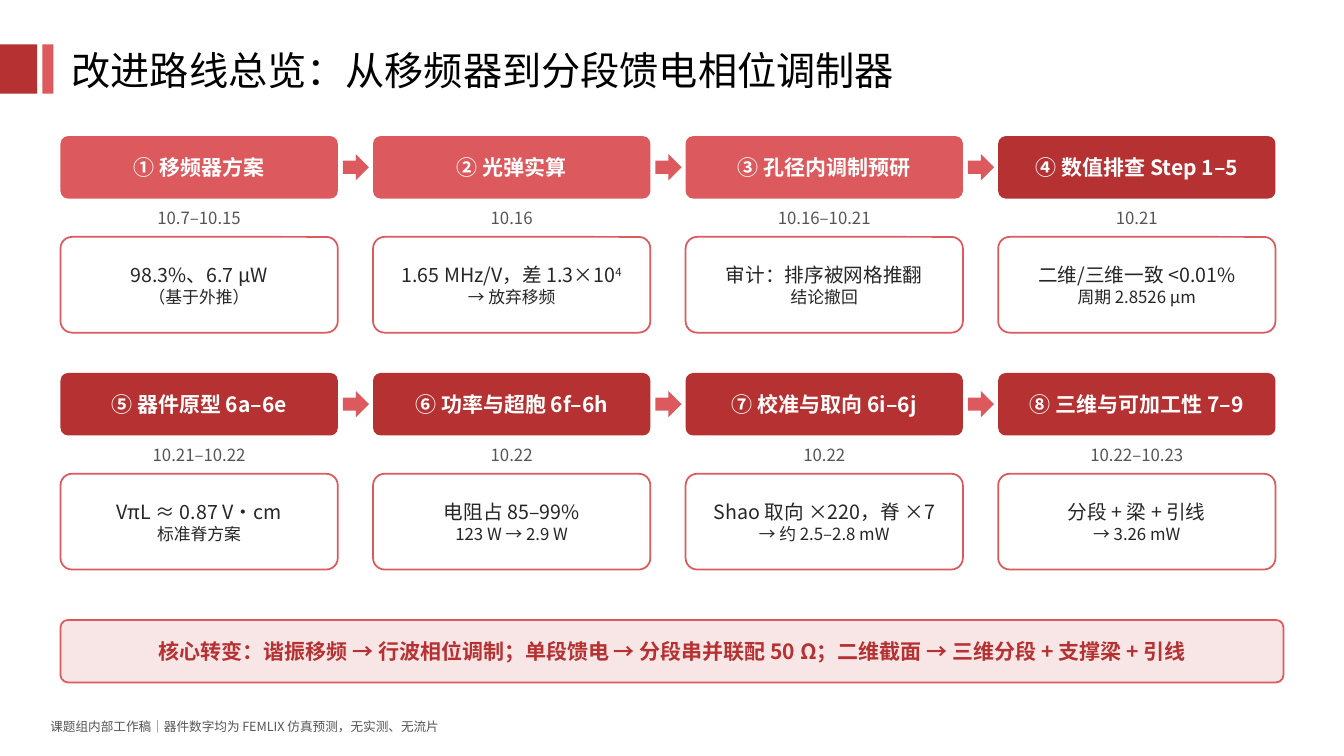
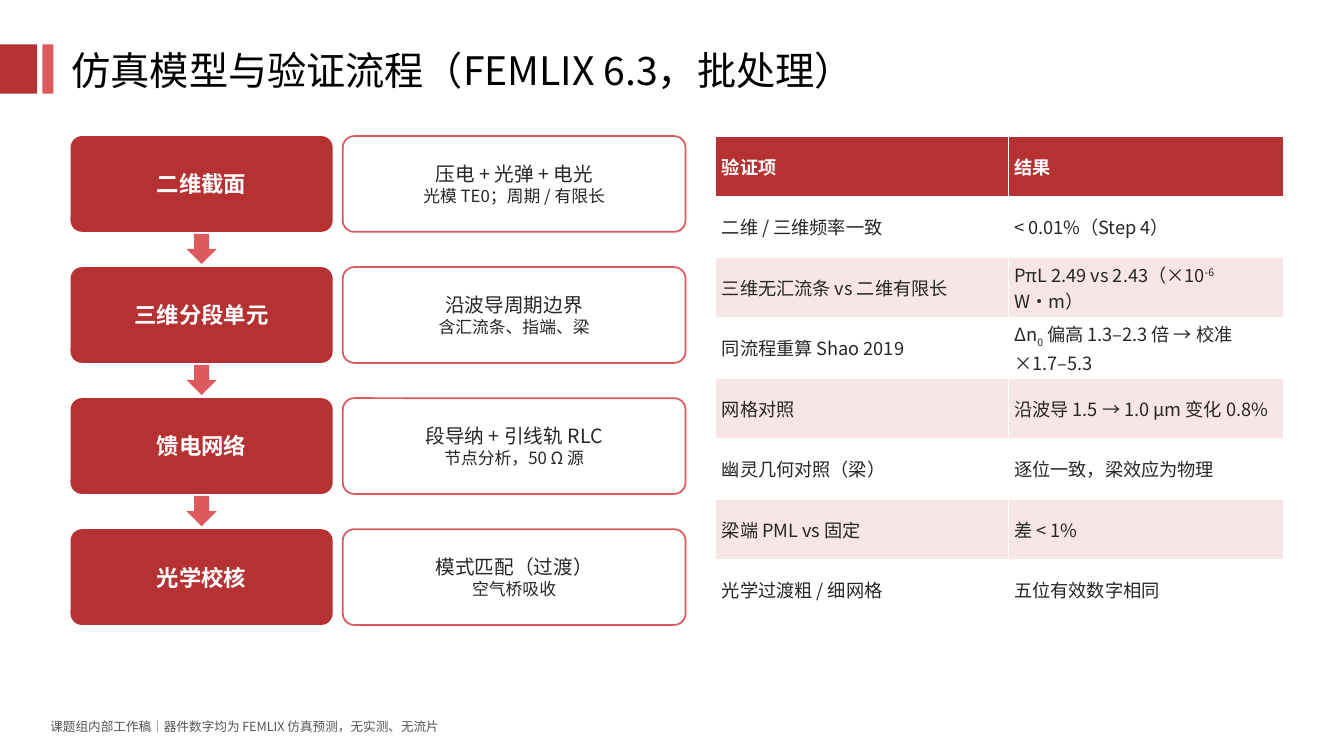
from lxml.etree import SubElement
from pptx import Presentation
from pptx.dml.color import RGBColor
from pptx.enum.shapes import MSO_SHAPE
from pptx.enum.text import MSO_ANCHOR, PP_ALIGN
from pptx.oxml.ns import qn
from pptx.util import Inches, Pt

FONT = "Noto Sans CJK SC"
DARK_RED, RED, PALE_RED = "B53132", "DC5A5D", "F8E6E6"
WHITE, BLACK, INK, GREY = "FFFFFF", "000000", "262626", "555555"
FOOTER = "课题组内部工作稿｜器件数字均为 FEMLIX 仿真预测，无实测、无流片"
BASELINES = {"^": 30000, "~": -25000}
CARD_HEIGHT = 0.95

STAGES = [
    ("① 移频器方案", "10.7–10.15", "98.3%、6.7 µW", "（基于外推）"),
    ("② 光弹实算", "10.16", "1.65 MHz/V，差 1.3×10|^4", "→ 放弃移频"),
    ("③ 孔径内调制预研", "10.16–10.21", "审计：排序被网格推翻", "结论撤回"),
    ("④ 数值排查 Step 1–5", "10.21", "二维/三维一致 <0.01%", "周期 2.8526 µm"),
    ("⑤ 器件原型 6a–6e", "10.21–10.22", "VπL ≈ 0.87 V·cm", "标准脊方案"),
    ("⑥ 功率与超胞 6f–6h", "10.22", "电阻占 85–99%", "123 W → 2.9 W"),
    ("⑦ 校准与取向 6i–6j", "10.22", "Shao 取向 ×220，脊 ×7", "→ 约 2.5–2.8 mW"),
    ("⑧ 三维与可加工性 7–9", "10.22–10.23", "分段 + 梁 + 引线", "→ 3.26 mW"),
]
EARLY_STAGES = 3
STAGES_PER_ROW = 4

MODEL_STEPS = [
    ("二维截面", "压电 + 光弹 + 电光", "光模 TE0；周期 / 有限长"),
    ("三维分段单元", "沿波导周期边界", "含汇流条、指端、梁"),
    ("馈电网络", "段导纳 + 引线轨 RLC", "节点分析，50 Ω 源"),
    ("光学校核", "模式匹配（过渡）", "空气桥吸收"),
]

CHECKS = [
    ("验证项", "结果"),
    ("二维 / 三维频率一致", "< 0.01%（Step 4）"),
    ("三维无汇流条 vs 二维有限长", "PπL 2.49 vs 2.43（×10|^-6| W·m）"),
    ("同流程重算 Shao 2019", "Δn|~0| 偏高 1.3–2.3 倍 → 校准 ×1.7–5.3"),
    ("网格对照", "沿波导 1.5 → 1.0 µm 变化 0.8%"),
    ("幽灵几何对照（梁）", "逐位一致，梁效应为物理"),
    ("梁端 PML vs 固定", "差 < 1%"),
    ("光学过渡粗 / 细网格", "五位有效数字相同"),
]


def rgb(color):
    return RGBColor.from_string(color)


def write(paragraph, text, size=14, color=INK, bold=False, align=PP_ALIGN.LEFT, after=0):
    """Write text split at "|"; pieces led by ^ or ~ are raised or lowered."""
    paragraph.alignment = align
    paragraph.space_after = Pt(after)
    for piece in text.split("|"):
        run = paragraph.add_run()
        run.text = piece.lstrip("^~")
        run.font.name = FONT
        run.font.size = Pt(size)
        run.font.bold = bold
        run.font.color.rgb = rgb(color)
        properties = run._r.get_or_add_rPr()
        SubElement(properties, qn("a:ea"), typeface=FONT)
        if piece[0] in BASELINES:
            properties.set("baseline", str(BASELINES[piece[0]]))


def set_margins(target, horizontal=0.06, vertical=0.03):
    target.margin_left = target.margin_right = Inches(horizontal)
    target.margin_top = target.margin_bottom = Inches(vertical)


class Deck:
    def __init__(self):
        self.presentation = Presentation()
        self.presentation.slide_width = Inches(13.33)
        self.presentation.slide_height = Inches(7.5)
        self.slide = None

    def new_slide(self, heading):
        """Start a slide with its red band, title and footer."""
        layout = self.presentation.slide_layouts[5]
        self.slide = self.presentation.slides.add_slide(layout)
        self.shape(MSO_SHAPE.RECTANGLE, 0, 0.44, 0.37, 0.49, DARK_RED)
        self.shape(MSO_SHAPE.RECTANGLE, 0.42, 0.44, 0.11, 0.49, RED)
        title = self.slide.shapes.title
        title.left, title.top = Inches(0.61), Inches(0.41)
        title.width, title.height = Inches(10.6), Inches(0.57)
        frame = title.text_frame
        frame.vertical_anchor = MSO_ANCHOR.MIDDLE
        set_margins(frame, 0.1, 0.05)
        write(frame.paragraphs[0], heading, size=28, color=BLACK)
        self.label(FOOTER, 0.45, 7.08, 9.5, size=9)

    def shape(self, kind, left, top, width, height, fill, line=None):
        shape = self.slide.shapes.add_shape(
            kind, Inches(left), Inches(top), Inches(width), Inches(height))
        shape.shadow.inherit = False
        shape.fill.solid()
        shape.fill.fore_color.rgb = rgb(fill)
        if line:
            shape.line.color.rgb = rgb(line)
            shape.line.width = Pt(1.25)
        else:
            shape.line.fill.background()
        return shape

    def label(self, text, left, top, width, **style):
        box = self.slide.shapes.add_textbox(
            Inches(left), Inches(top), Inches(width), Inches(0.3))
        frame = box.text_frame
        frame.word_wrap = True
        set_margins(frame, 0.05, 0.05)
        write(frame.paragraphs[0], text, color=GREY, after=4, **style)

    def block(self, lines, left, top, width, height, fill, line=None, **style):
        """Draw a rounded box with centred (text, size) lines."""
        box = self.shape(MSO_SHAPE.ROUNDED_RECTANGLE, left, top, width, height, fill, line)
        box.adjustments[0] = 0.12
        frame = box.text_frame
        frame.word_wrap = True
        frame.vertical_anchor = MSO_ANCHOR.MIDDLE
        set_margins(frame)
        for index, (text, size) in enumerate(lines):
            paragraph = frame.add_paragraph() if index else frame.paragraphs[0]
            write(paragraph, text, size=size, align=PP_ALIGN.CENTER, **style)

    def header(self, text, left, top, width, height, fill=DARK_RED, size=15):
        self.block([(text, size)], left, top, width, height, fill, color=WHITE, bold=True)

    def card(self, finding, detail, left, top, width):
        self.block([(finding, 14), (detail, 12)], left, top, width, CARD_HEIGHT, WHITE, RED)

    def arrow(self, kind, left, top, size):
        self.shape(kind, left, top, size, size, RED)

    def table(self, rows, left, top, column_widths, row_height):
        table = self.slide.shapes.add_table(
            len(rows), len(column_widths), Inches(left), Inches(top),
            Inches(sum(column_widths)), Inches(row_height * len(rows))).table
        for column, width in zip(table.columns, column_widths):
            column.width = Inches(width)
        for row_index, row in enumerate(rows):
            is_header = row_index == 0
            fill = DARK_RED if is_header else WHITE if row_index % 2 else PALE_RED
            for column_index, text in enumerate(row):
                cell = table.cell(row_index, column_index)
                cell.fill.solid()
                cell.fill.fore_color.rgb = rgb(fill)
                cell.vertical_anchor = MSO_ANCHOR.MIDDLE
                set_margins(cell)
                write(cell.text_frame.paragraphs[0], text, size=13,
                      color=WHITE if is_header else INK, bold=is_header)


def add_roadmap(deck):
    deck.new_slide("改进路线总览：从移频器到分段馈电相位调制器")
    width = 2.75
    for index, (stage, dates, finding, detail) in enumerate(STAGES):
        row, column = divmod(index, STAGES_PER_ROW)
        left, top = 0.6 + 3.1 * column, 1.35 + 2.35 * row
        fill = RED if index < EARLY_STAGES else DARK_RED
        deck.header(stage, left, top, width, 0.62, fill)
        deck.label(dates, left, top + 0.66, width, size=12, align=PP_ALIGN.CENTER)
        deck.card(finding, detail, left, top + 1, width)
        if column < STAGES_PER_ROW - 1:
            deck.arrow(MSO_SHAPE.RIGHT_ARROW, left + 2.8, top + 0.18, 0.26)
    core_shift = ("核心转变：谐振移频 → 行波相位调制；单段馈电 → 分段串并联配 50 Ω；"
                  "二维截面 → 三维分段 + 支撑梁 + 引线")
    deck.block([(core_shift, 15)], 0.6, 6.15, 12.13, 0.62, PALE_RED, RED,
               color=DARK_RED, bold=True)


def add_validation(deck):
    deck.new_slide("仿真模型与验证流程（FEMLIX 6.3，批处理）")
    for index, (step, method, detail) in enumerate(MODEL_STEPS):
        top = 1.35 + 1.3 * index
        deck.header(step, 0.7, top, 2.6, CARD_HEIGHT, size=16)
        deck.card(method, detail, 3.4, top, 3.4)
        if index < len(MODEL_STEPS) - 1:
            deck.arrow(MSO_SHAPE.DOWN_ARROW, 1.85, top + 0.97, 0.3)
    deck.table(CHECKS, 7.1, 1.35, (2.9, 2.73), 0.6)


def main():
    deck = Deck()
    add_roadmap(deck)
    add_validation(deck)
    deck.presentation.save("out.pptx")


if __name__ == "__main__":
    main()
